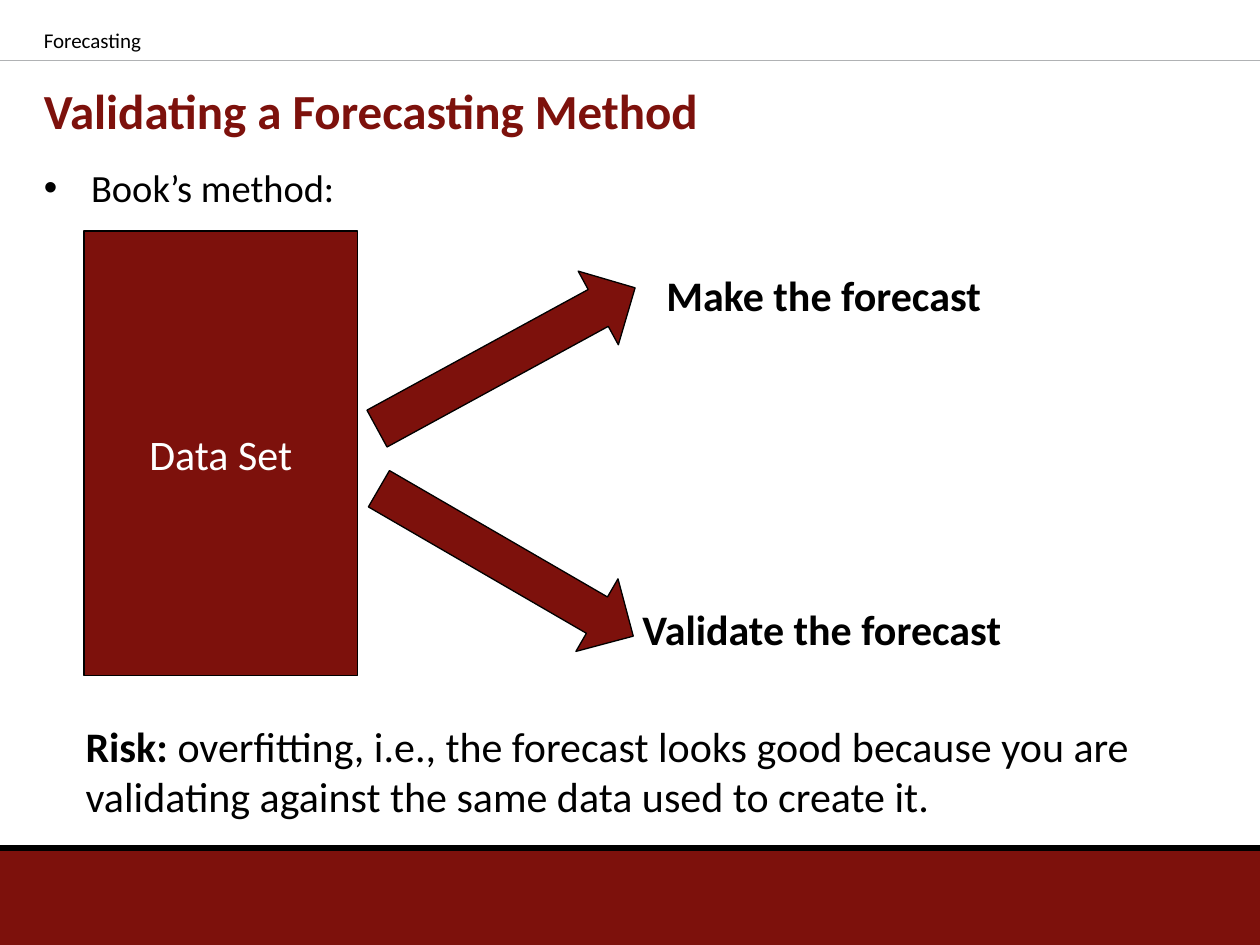
from lxml import etree
from pptx import Presentation
from pptx.dml.color import RGBColor
from pptx.enum import shapes, text
from pptx.oxml.ns import qn
from pptx.util import Pt

THEME = {
    "font": "Calibri", "red": "7D110C", "black": "000000", "white": "FFFFFF",
    "rule": "B0B2B4", "title": 28, "body": 22, "label": 24, "header": 12,
}
W, H = 720, 540
FOOTER_TOP = 486

# y, colour, width
RULES = [(34.6, "rule", 0.75), (484.6, "black", 3.75)]
# box, runs of (text, bold), format
TEXTS = [
    ((18, 41.8, 662, 41.8), [("Validating a Forecasting Method", True)],
     dict(size="title", color="red", anchor=text.MSO_ANCHOR.MIDDLE)),
    ((18, 90, 662, 374), [("Book’s method:", False)], dict(size="body", bullet="•")),
    ((18, 12.2, 390, 24), [("Forecasting", False)], dict(size="header")),
    ((373.7, 150.5, 258, 36), [("Make the forecast", True)], {}),
    ((360, 341.3, 258, 36), [("Validate the forecast", True)], {}),
    ((41.8, 408.2, 638, 65.5),
     [("Risk: ", True),
      ("overfitting, i.e., the forecast looks good because you are "
       "validating against the same data used to create it.", False)], {}),
]
DATA_SET = (48, 132, 156.3, 254)
ARROW_LEFT, ARROW_W, ARROW_H = 205.2, 168, 48
ARROWS = [(180.7, 331.4), (297.4, 30.1)]  # top, rotation


def rgb(name):
    return RGBColor.from_string(THEME[name])


def put_text(sp, runs, size="label", color="black", anchor=text.MSO_ANCHOR.TOP,
             align=text.PP_ALIGN.LEFT, bullet=None):
    tf = sp.text_frame
    tf.word_wrap = True
    tf.vertical_anchor = anchor
    p = tf.paragraphs[0]
    p.alignment = align
    if bullet:
        pPr = p._p.get_or_add_pPr()
        pPr.set("marL", str(Pt(27)))
        pPr.set("indent", str(Pt(-27)))
        etree.SubElement(pPr, qn("a:buFont")).set("typeface", "Arial")
        etree.SubElement(pPr, qn("a:buChar")).set("char", bullet)
    for words, bold in runs:
        r = p.add_run()
        r.text = words
        r.font.name, r.font.size, r.font.bold = THEME["font"], Pt(THEME[size]), bold
        r.font.color.rgb = rgb(color)


def add_block(s, kind, box, outlined=True):
    sp = s.shapes.add_shape(kind, *map(Pt, box))
    sp.shadow.inherit = False
    sp.fill.solid()
    sp.fill.fore_color.rgb = rgb("red")
    if outlined:
        sp.line.color.rgb = rgb("black")
        sp.line.width = Pt(0.75)
    else:
        sp.line.fill.background()
    return sp


def add_rule(s, y, color, width):
    line = s.shapes.add_connector(shapes.MSO_CONNECTOR.STRAIGHT, 0, Pt(y), Pt(W), Pt(y))
    line.line.color.rgb = rgb(color)
    line.line.width = Pt(width)
    etree.SubElement(line._element.spPr, qn("a:effectLst"))


def main():
    prs = Presentation()
    prs.slide_width, prs.slide_height = Pt(W), Pt(H)
    s = prs.slides.add_slide(prs.slide_layouts[6])
    kinds = shapes.MSO_SHAPE

    add_block(s, kinds.RECTANGLE, (0, FOOTER_TOP, W, H - FOOTER_TOP), outlined=False)
    for rule in RULES:
        add_rule(s, *rule)

    sp = add_block(s, kinds.ROUNDED_RECTANGLE, DATA_SET)
    sp.adjustments[0] = 0
    put_text(sp, [("Data Set", False)], color="white",
             anchor=text.MSO_ANCHOR.MIDDLE, align=text.PP_ALIGN.CENTER)

    for top, rotation in ARROWS:
        sp = add_block(s, kinds.RIGHT_ARROW, (ARROW_LEFT, top, ARROW_W, ARROW_H))
        sp.rotation = rotation

    for box, runs, fmt in TEXTS:
        put_text(s.shapes.add_textbox(*map(Pt, box)), runs, **fmt)

    prs.save("out.pptx")


if __name__ == "__main__":
    main()
